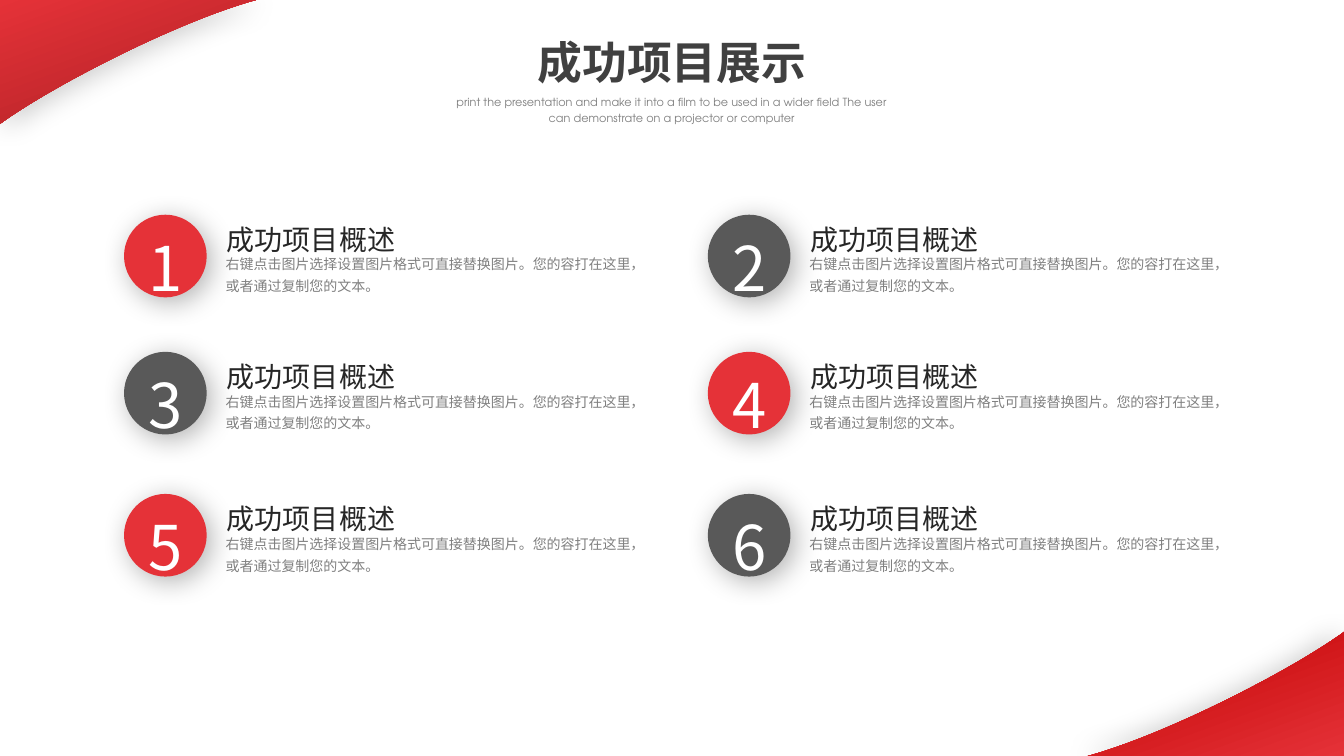
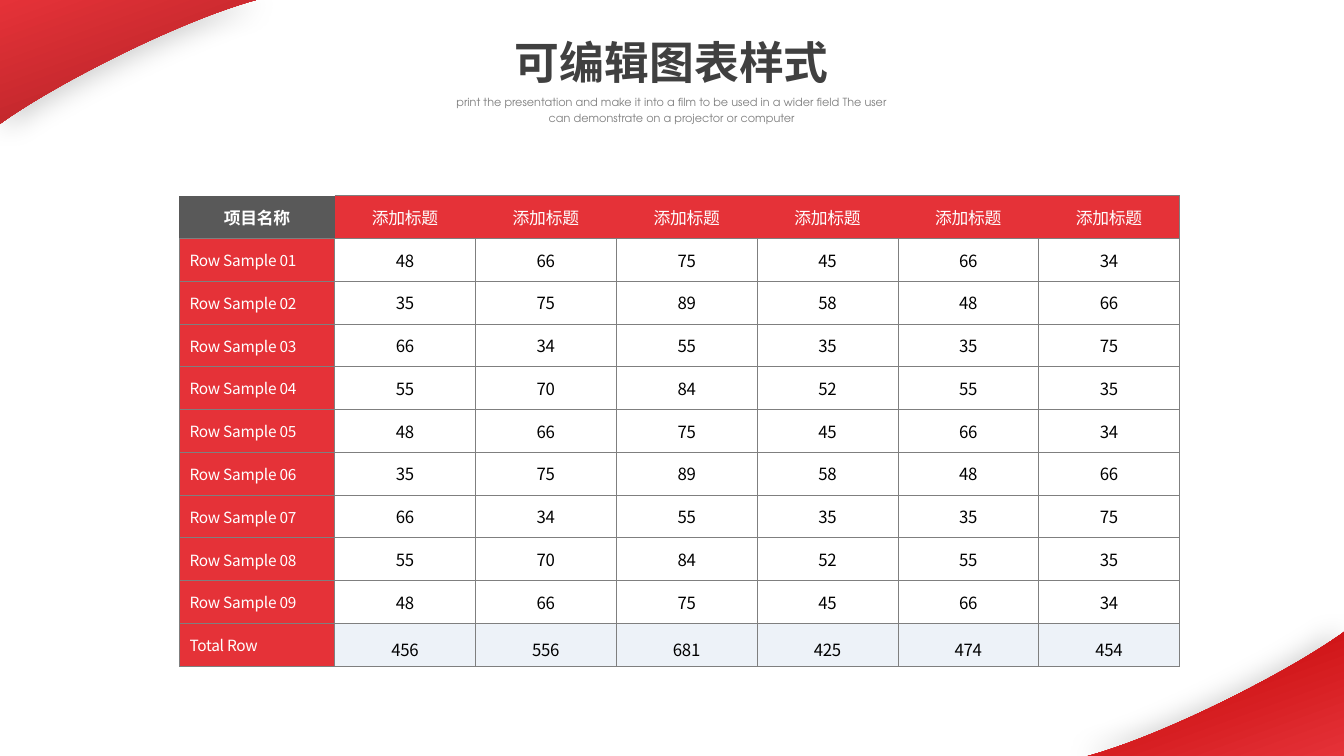
"""Build two slides: a numbered project overview and an editable data table."""
from lxml import etree
from pptx import Presentation
from pptx.dml.color import RGBColor
from pptx.enum.shapes import MSO_SHAPE as Shape
from pptx.enum.text import MSO_ANCHOR as Anchor, MSO_AUTO_SIZE as AutoSize, PP_ALIGN as Align
from pptx.oxml.ns import qn
from pptx.util import Inches, Pt

WIDTH, HEIGHT = 13.33, 7.5
RED = RGBColor(0xE5, 0x32, 0x38)
DARK_RED = RGBColor(0xAC, 0x21, 0x25)
DEEP_RED = RGBColor(0xC0, 0x00, 0x00)
CHARCOAL = RGBColor(0x59, 0x59, 0x59)
TITLE_GRAY = RGBColor(0x40, 0x40, 0x40)
HEADING_GRAY = RGBColor(0x26, 0x26, 0x26)
TEXT_GRAY = RGBColor(0x80, 0x80, 0x80)
RULE_GRAY = RGBColor(0x7F, 0x7F, 0x7F)
PALE_BLUE = RGBColor(0xED, 0xF2, 0xF8)
WHITE = RGBColor(0xFF, 0xFF, 0xFF)
BLACK = RGBColor(0x00, 0x00, 0x00)
SANS, DISPLAY = "Noto Sans CJK SC", "TeX Gyre Adventor"

TITLE_STYLE = {"name": DISPLAY, "size": Pt(32), "bold": True}
SUBTITLE_STYLE = {"name": DISPLAY, "size": Pt(8)}
NUMBER_STYLE = {"name": SANS, "size": Pt(44)}
HEADING_STYLE = {"name": SANS, "size": Pt(20)}
DETAIL_STYLE = {"name": SANS, "size": Pt(10)}
CELL_STYLE = {"name": SANS, "size": Pt(12), "bold": False}
CORNER_STYLE = {**CELL_STYLE, "bold": True}
ROW_NAME_STYLE = {**CELL_STYLE, "size": Pt(11)}

SUBTITLE = ("print the presentation and make it into a film to be used in a wider field "
            "The user can demonstrate on a projector or computer")
OVERVIEW_TITLE, TABLE_TITLE = "成功项目展示", "可编辑图表样式"
PROJECTS = [("成功项目概述", "右键点击图片选择设置图片格式可直接替换图片。您的容打在这里，或者通过复制您的文本。")] * 6
PROJECT_LEFTS = [1.23, 7.02]
PROJECT_TOPS = [2.13, 3.49, 4.9]

SAMPLE_VALUES = [
    (48, 66, 75, 45, 66, 34),
    (35, 75, 89, 58, 48, 66),
    (66, 34, 55, 35, 35, 75),
    (55, 70, 84, 52, 55, 35),
]
TABLE_ROWS = [
    ("项目名称", *["添加标题"] * 6),
    *[(f"Row Sample {n + 1:02}", *SAMPLE_VALUES[n % 4]) for n in range(9)],
    ("Total Row", 456, 556, 681, 425, 474, 454),
]

SWEEP = [(2.54, 0), (1.74, 0.22), (0.49, 0.87), (0, 1.23)]
SWEEP_STEPS = 40


def write(frame, text, style, color, align=Align.LEFT, spacing=None, anchor=Anchor.TOP, insets=None):
    """Fill a text frame with one formatted paragraph."""
    layout = {"word_wrap": True, "auto_size": AutoSize.NONE, "vertical_anchor": anchor}
    if insets:
        layout.update(zip(("margin_left", "margin_top", "margin_right", "margin_bottom"), map(Inches, insets)))
    for key, value in layout.items():
        setattr(frame, key, value)
    return write_line(frame.paragraphs[0], text, style, color, align, spacing)


def write_line(paragraph, text, style, color, align, spacing=None):
    """Put one formatted run in a paragraph and return its properties element."""
    paragraph.alignment = align
    paragraph.line_spacing = spacing
    run = paragraph.add_run()
    run.text = text
    for key, value in style.items():
        setattr(run.font, key, value)
    run.font.color.rgb = color
    properties = run._r.get_or_add_rPr()
    east_asian = etree.Element(qn("a:ea"), typeface=SANS)
    properties.find(qn("a:latin")).addnext(east_asian)
    return properties


def add_shadow(shape, opacity, direction):
    """Give a shape a soft black outer shadow."""
    shape.shadow.inherit = False
    effects = shape._element.spPr.find(qn("a:effectLst"))
    shadow = etree.SubElement(effects, qn("a:outerShdw"), blurRad=str(Pt(20)), dist=str(Pt(5)),
                              dir=str(direction * 60000), algn="ctr", rotWithShape="0")
    black = etree.SubElement(shadow, qn("a:srgbClr"), val=str(BLACK))
    etree.SubElement(black, qn("a:alpha"), val=str(opacity * 1000))


def sweep_point(t):
    """Return the point of the corner curve at parameter t."""
    weights = ((1 - t) ** 3, 3 * t * (1 - t) ** 2, 3 * t * t * (1 - t), t ** 3)
    return tuple(sum(w * point[axis] for w, point in zip(weights, SWEEP)) for axis in (0, 1))


def add_corner(slide, mirrored, end_color, angle, shadow_direction):
    """Draw the curved corner, turned half round when mirrored."""
    outline = [(0, 0)] + [sweep_point(step / SWEEP_STEPS) for step in range(SWEEP_STEPS + 1)]
    if mirrored:
        outline = [(WIDTH - x, HEIGHT - y) for x, y in outline]
    points = [(Inches(x), Inches(y)) for x, y in outline]
    builder = slide.shapes.build_freeform(*points[0], scale=1.0)
    builder.add_line_segments(points[1:], close=True)
    corner = builder.convert_to_shape()
    corner.fill.gradient()
    corner.fill.gradient_angle = angle
    for stop, color in zip(corner.fill.gradient_stops, (RED, end_color)):
        stop.color.rgb = color
    corner.line.fill.background()
    add_shadow(corner, 20, shadow_direction)
    return corner


def add_shared_corners(slide):
    """Place both corners on the slide layout, behind everything else."""
    corners = [add_corner(slide, False, DARK_RED, 290, 45), add_corner(slide, True, DEEP_RED, 110, 180)]
    for corner in corners:
        slide.slide_layout.shapes._spTree.insert(2, corner._element)


def add_titled_slide(deck, title_text):
    """Add a slide with the centred title and subtitle."""
    slide = deck.slides.add_slide(deck.slide_layouts[5])
    title = slide.shapes.title
    place = {"left": 4.33, "top": 0.29, "width": 4.67, "height": 0.64}
    for key, value in place.items():
        setattr(title, key, Inches(value))
    write(title.text_frame, title_text, TITLE_STYLE, TITLE_GRAY, Align.CENTER)
    subtitle = slide.shapes.add_textbox(*map(Inches, (4.33, 0.87, 4.67, 0.42)))
    write(subtitle.text_frame, SUBTITLE, SUBTITLE_STYLE, TEXT_GRAY, Align.CENTER, 1.2)
    return slide


def add_project(slide, number, heading, detail, left, top, color):
    """Draw a numbered disc with its heading and detail text as one group."""
    shapes = slide.shapes.add_group_shape().shapes
    disc = shapes.add_shape(Shape.OVAL, *map(Inches, (left, top, 0.82, 0.82)))
    disc.fill.solid()
    disc.fill.fore_color.rgb = color
    disc.line.fill.background()
    add_shadow(disc, 30, 45)
    write(disc.text_frame, str(number), NUMBER_STYLE, WHITE, Align.CENTER, 1.3, Anchor.MIDDLE, (0, 0, 0, 0))
    detail_box = shapes.add_textbox(*map(Inches, (left + 0.91, top + 0.31, 4.25, 0.52)))
    write(detail_box.text_frame, detail, DETAIL_STYLE, TEXT_GRAY, spacing=1.3)
    heading_box = shapes.add_textbox(*map(Inches, (left + 0.82, top - 0.12, 3.32, 0.6)))
    write(heading_box.text_frame, heading, HEADING_STYLE, HEADING_GRAY, spacing=1.3, insets=(0.2, 0.1, 0.2, 0.1))


def set_borders(cell, sides):
    """Rule the given sides of a cell and clear the others."""
    properties = cell._tc.get_or_add_tcPr()
    for side in "LRTB":
        line = etree.SubElement(properties, qn(f"a:ln{side}"), w=str(Pt(0.5)))
        if side in sides:
            fill = etree.SubElement(line, qn("a:solidFill"))
            color = etree.SubElement(fill, qn("a:srgbClr"), val=str(RULE_GRAY))
            etree.SubElement(color, qn("a:alpha"), val="50000")
        else:
            etree.SubElement(line, qn("a:noFill"))


def cell_format(row, column, last_row, last_column):
    """Return the ruled sides, fill, text style, text colour, alignment and anchor of a cell."""
    if row == 0 and column == 0:
        return "B", CHARCOAL, CORNER_STYLE, WHITE, Align.CENTER, Anchor.MIDDLE
    if row == 0:
        sides = "TBR" if column == last_column else "TB"
        return sides, RED, CELL_STYLE, WHITE, Align.CENTER, Anchor.MIDDLE
    if column == 0:
        return "LRTB", RED, ROW_NAME_STYLE, WHITE, Align.LEFT, Anchor.MIDDLE
    if row == last_row:
        return "LRTB", PALE_BLUE, CELL_STYLE, BLACK, Align.CENTER, Anchor.BOTTOM
    return "LRTB", None, CELL_STYLE, BLACK, Align.CENTER, Anchor.MIDDLE


def add_data_table(slide):
    """Draw the table of sample rows and totals."""
    width, height, name_width = 9.92, 4.67, 1.54
    row_count, column_count = len(TABLE_ROWS), len(TABLE_ROWS[0])
    table = slide.shapes.add_table(row_count, column_count, *map(Inches, (1.78, 1.94, width, height))).table
    table.first_row = table.horz_banding = False
    for index, column in enumerate(table.columns):
        column.width = Inches((width - name_width) / (column_count - 1) if index else name_width)
    for row in table.rows:
        row.height = Inches(height / row_count)
    for r, values in enumerate(TABLE_ROWS):
        for c, value in enumerate(values):
            sides, fill, style, color, align, anchor = cell_format(r, c, row_count - 1, column_count - 1)
            cell = table.cell(r, c)
            set_borders(cell, sides)
            if fill is None:
                cell.fill.background()
            else:
                cell.fill.solid()
                cell.fill.fore_color.rgb = fill
            cell.vertical_anchor = anchor
            write_line(cell.text_frame.paragraphs[0], str(value), style, color, align).set("spc", "-20")


def main():
    """Assemble and save the deck."""
    deck = Presentation()
    deck.slide_width, deck.slide_height = Inches(WIDTH), Inches(HEIGHT)
    overview = add_titled_slide(deck, OVERVIEW_TITLE)
    for index, (heading, detail) in enumerate(PROJECTS):
        row, column = divmod(index, len(PROJECT_LEFTS))
        color = CHARCOAL if (row + column) % 2 else RED
        add_project(overview, index + 1, heading, detail, PROJECT_LEFTS[column], PROJECT_TOPS[row], color)
    add_shared_corners(overview)
    add_data_table(add_titled_slide(deck, TABLE_TITLE))
    deck.save("out.pptx")


if __name__ == "__main__":
    main()
